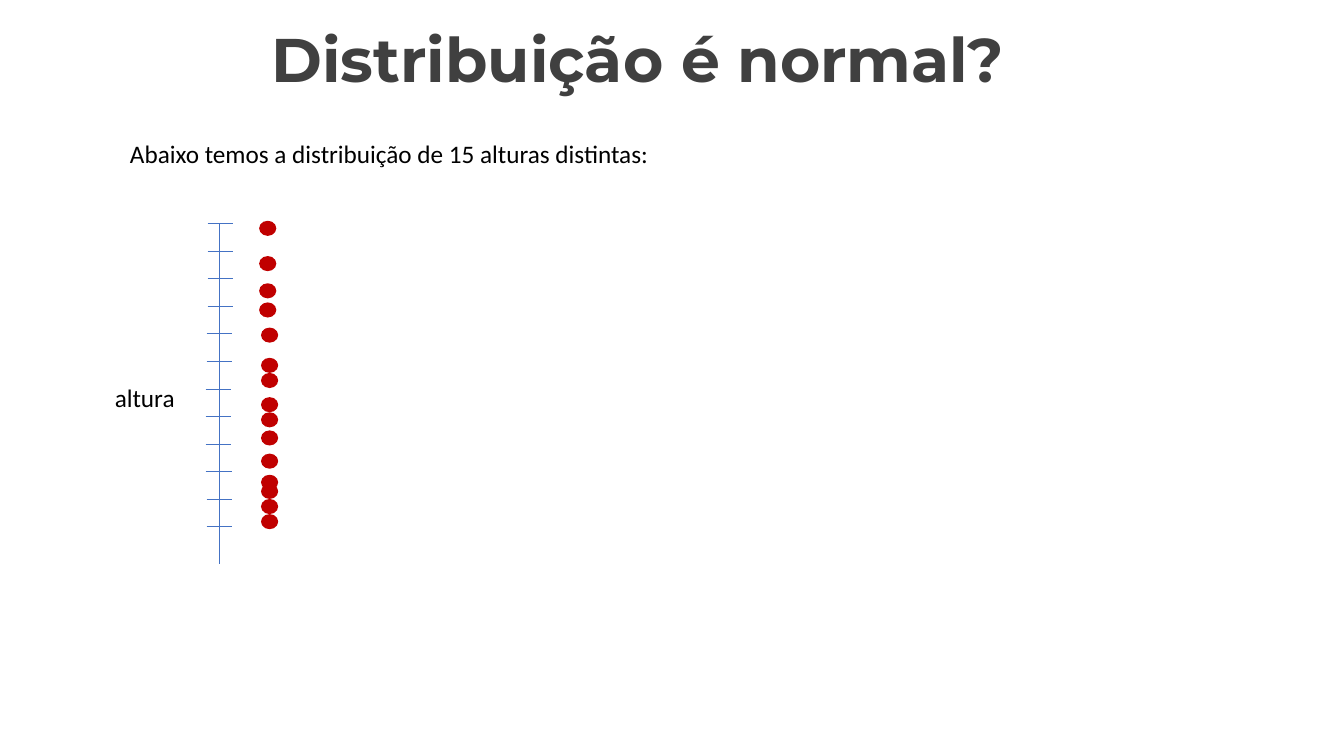
from pptx import Presentation
from pptx.util import Inches, Pt
from pptx.dml.color import RGBColor as Rgb
from pptx.enum.shapes import MSO_CONNECTOR as Link, MSO_SHAPE as Shape
from pptx.enum.text import MSO_ANCHOR as Anchor, MSO_AUTO_SIZE as Fit, PP_ALIGN as Align
from pptx.oxml.ns import qn
from lxml.etree import SubElement as Sub

# Lengths are columns and rows of a 100 by 100 grid
WIDE, HIGH, CELLS = 13.33, 7.5, 100
INK = {"title": "404040", "text": "000000", "axis": "4472C4", "dot": "C00000"}

TICK_GAP, TICK_LEN = 3.64, 1.88
# Tick number and column of its left end; tick 9 is drawn twice
TICKS = ([(n, 7.65) for n in range(4)] + [(n, 7.58) for n in (4, 5)]
         + [(n, 7.5) for n in range(6, 10)] + [(n, 7.58) for n in (9, 10, 11)])
# Rows of the 15 heights, from tallest to shortest
DOTS = [0, 4.67, 8.27, 10.8, 14.13, 18.13, 20.13, 23.33,
        25.33, 27.73, 30.8, 33.6, 34.8, 36.8, 38.8]


def col(n):
    return Inches(n * WIDE / CELLS)


def row(n):
    return Inches(n * HIGH / CELLS)


def area(x, y, w, h):
    return col(x), row(y), col(w), row(h)


def write(frame, text, font="Calibri", size=18, ink="text", bold=False,
          align=Align.LEFT, wrap=True, fit=Fit.SHAPE_TO_FIT_TEXT):
    frame.word_wrap = wrap
    frame.auto_size = fit
    frame.vertical_anchor = Anchor.TOP
    para = frame.paragraphs[0]
    para.alignment = align
    run = para.add_run()
    run.text = text
    run.font.name, run.font.size, run.font.bold = font, Pt(size), bold
    run.font.color.rgb = Rgb.from_string(INK[ink])
    return para


def rule(slide, x1, y1, x2, y2):
    line = slide.shapes.add_connector(
        Link.STRAIGHT, col(x1), row(y1), col(x2), row(y2))
    line.line.color.rgb = Rgb.from_string(INK["axis"])
    line.line.width = Pt(0.5)
    Sub(line._element.spPr, qn("a:effectLst"))


def head(slide, box):
    title = slide.shapes.title
    title.left, title.top, title.width, title.height = area(*box)
    para = write(title.text_frame, "Distribuição é normal?", font="Montserrat",
                 size=44, ink="title", bold=True, align=Align.CENTER, fit=Fit.NONE)
    para.line_spacing = 0.9
    para.space_before = Pt(10)


def intro(slide, box):
    note = slide.shapes.add_textbox(*area(*box))
    write(note.text_frame, "Abaixo temos a distribuição de 15 alturas distintas:")


def plot(slide, box):
    x, y, w, h = box
    # Axis and ticks
    top = y + 0.4
    rule(slide, x + 8.55, top, x + 8.55, y + h)
    for n, left in TICKS:
        level = top + n * TICK_GAP
        rule(slide, x + left, level, x + left + TICK_LEN, level)
    # Axis label
    label = slide.shapes.add_textbox(*area(x, y + 20.67, 6, 5.33))
    write(label.text_frame, "altura", wrap=False)
    # Heights
    for n, drop in enumerate(DOTS):
        left = x + w - (1.42 if n < 4 else 1.28)
        dot = slide.shapes.add_shape(Shape.OVAL, *area(left, y + drop, 1.28, 2))
        dot.shadow.inherit = False
        dot.fill.solid()
        dot.fill.fore_color.rgb = Rgb.from_string(INK["dot"])
        dot.line.fill.background()


def main():
    deck = Presentation()
    deck.slide_width, deck.slide_height = Inches(WIDE), Inches(HIGH)
    slide = deck.slides.add_slide(deck.slide_layouts[5])
    head(slide, (7.8, 3.2, 79.37, 10.27))
    plot(slide, (7.8, 29.2, 12.9, 45.47))
    intro(slide, (8.93, 17.6, 43.06, 5.33))
    deck.save("out.pptx")


if __name__ == "__main__":
    main()
